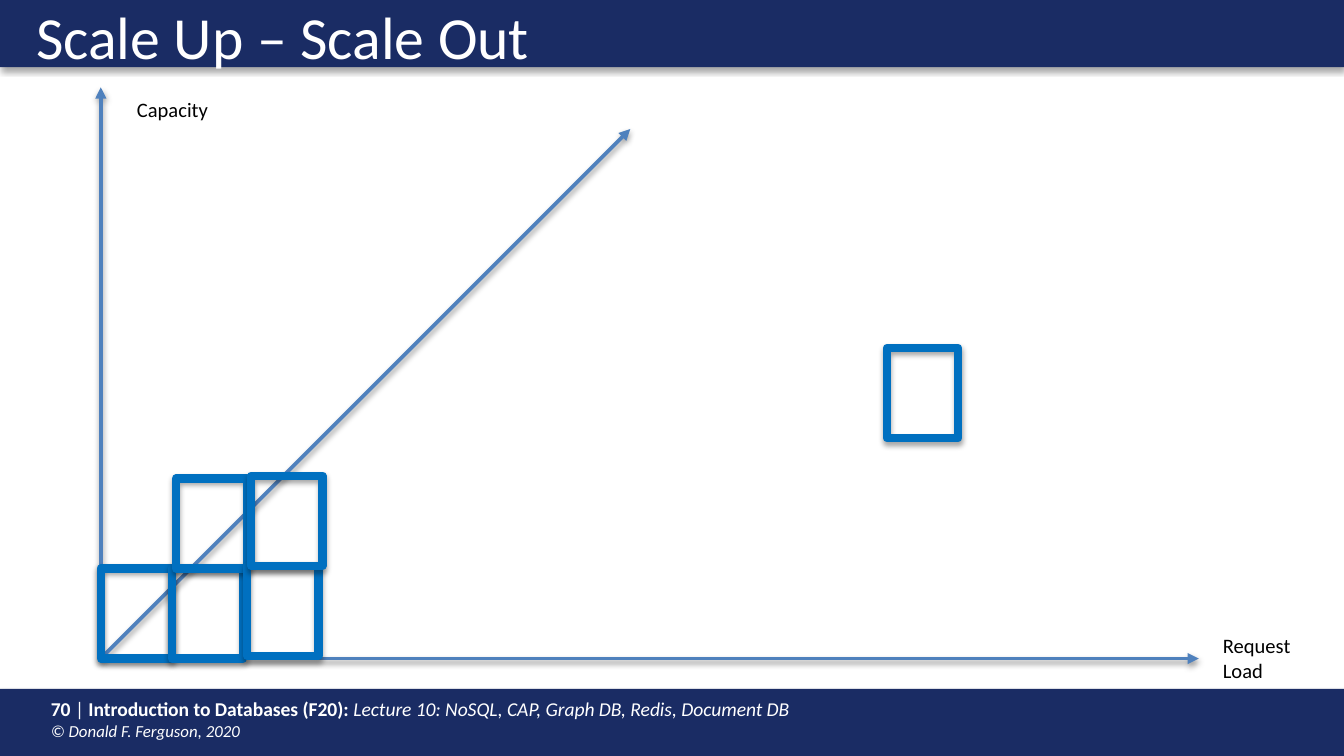
from dataclasses import dataclass

from lxml.etree import SubElement as Sub
from pptx import Presentation
from pptx.dml.color import RGBColor as RGB
from pptx.enum.shapes import MSO_CONNECTOR as Link, MSO_SHAPE as Form
from pptx.enum.text import MSO_AUTO_SIZE as Fit
from pptx.oxml.ns import qn
from pptx.util import Inches, Pt


@dataclass(frozen=True)
class Theme:
    font: str = "Calibri"
    navy: str = "1A2C64"
    blue: str = "0070C0"
    steel: str = "4F81BD"
    white: str = "FFFFFF"
    black: str = "000000"
    title: float = 32
    label: float = 11
    foot: float = 10.5
    small: float = 9


THEME = Theme()
WIDTH = 10
HEIGHT = WIDTH * 9 / 16
BAR = 0.5
BOX_W, BOX_H = 0.53, 0.67
LEFT, BASE = 0.75, 4.9  # origin of the axes


def apply(obj, values):
    for name, value in values.items():
        setattr(obj, name, value)


def shade(item, alpha, dist):
    """Soft shadow straight below an item."""
    effects = Sub(item._element.spPr, qn("a:effectLst"))
    outer = Sub(effects, qn("a:outerShdw"), blurRad=str(Pt(3.1)),
                dist=str(Pt(dist)), dir="5400000", rotWithShape="0")
    tint = Sub(outer, qn("a:srgbClr"), val=THEME.black)
    Sub(tint, qn("a:alpha"), val=str(alpha * 1000))


def add_rect(slide, x, y, w, h, fill=None, line=None):
    rect = slide.shapes.add_shape(
        Form.RECTANGLE, Inches(x), Inches(y), Inches(w), Inches(h))
    if fill:
        rect.fill.solid()
        rect.fill.fore_color.rgb = RGB.from_string(fill)
    else:
        rect.fill.background()
    if line:
        rect.line.color.rgb = RGB.from_string(line)
        rect.line.width = Pt(4.5)
    else:
        rect.line.fill.background()
    shade(rect, 35, 1.8)


def add_arrow(slide, x, y):
    """Arrow from the origin to a point."""
    arrow = slide.shapes.add_connector(
        Link.STRAIGHT, Inches(LEFT), Inches(BASE), Inches(x), Inches(y))
    arrow.line.color.rgb = RGB.from_string(THEME.steel)
    arrow.line.width = Pt(2)
    Sub(arrow._element.spPr.find(qn("a:ln")), qn("a:tailEnd"),
        type="triangle")
    shade(arrow, 38, 1.6)


def add_text(slide, x, y, w, h, lines, color, **frame):
    """Text box; each line is a list of (text, font values)."""
    box = slide.shapes.add_textbox(
        Inches(x), Inches(y), Inches(w), Inches(h))
    apply(box.text_frame, frame)
    para = box.text_frame.paragraphs[0]
    for i, line in enumerate(lines):
        if i:
            para.add_line_break()
        for text, values in line:
            run = para.add_run()
            run.text = text
            apply(run.font, {"name": THEME.font, **values})
            run.font.color.rgb = RGB.from_string(color)


def add_label(slide, x, y, w, h, *lines):
    size = {"size": Pt(THEME.label)}
    add_text(slide, x, y, w, h, [[(line, size)] for line in lines],
             THEME.black, word_wrap=False, auto_size=Fit.SHAPE_TO_FIT_TEXT)


def main():
    deck = Presentation()
    apply(deck, {"slide_width": Inches(WIDTH), "slide_height": Inches(HEIGHT)})
    slide = deck.slides.add_slide(deck.slide_layouts[6])

    # Bars, footer and title
    for top in (HEIGHT - BAR, 0):
        add_rect(slide, 0, top, WIDTH, BAR, fill=THEME.navy)
    plain = {"size": Pt(THEME.foot)}
    bold = {**plain, "bold": True}
    slant = {**plain, "italic": True}
    small = {"size": Pt(THEME.small), "italic": True}
    add_text(slide, 0.28, 5.14, 7.42, 0.43, [
        [("70 ", bold), ("| ", plain),
         ("Introduction to Databases (F20): ", bold),
         ("Lecture 10: NoSQL, CAP, Graph DB, Redis, Document DB", slant)],
        [("© Donald F. Ferguson, 2020", small)],
    ], THEME.white, word_wrap=True, auto_size=Fit.SHAPE_TO_FIT_TEXT)
    add_text(slide, 0.17, 0, 9.58, 0.42,
             [[("Scale Up – Scale Out", {"size": Pt(THEME.title)})]],
             THEME.white, word_wrap=True, margin_top=0)

    # Axes, labels and growth line
    add_arrow(slide, LEFT, 0.65)
    add_arrow(slide, 8.92, BASE)
    add_label(slide, 0.92, 0.67, 0.73, 0.29, "Capacity")
    add_label(slide, 9, 4.66, 0.71, 0.47, "Request", "Load")
    add_arrow(slide, 4.69, 0.96)

    # Server boxes: stacks of one, two and two, then a loose one
    stacks = ((LEFT, 4.23, 1), (1.28, 4.23, 2), (1.84, 4.21, 2), (6.6, 2.59, 1))
    for x, y, count in stacks:
        for level in range(count):
            add_rect(slide, x + 0.03 * level, y - BOX_H * level,
                     BOX_W, BOX_H, line=THEME.blue)

    deck.save("out.pptx")


if __name__ == "__main__":
    main()
